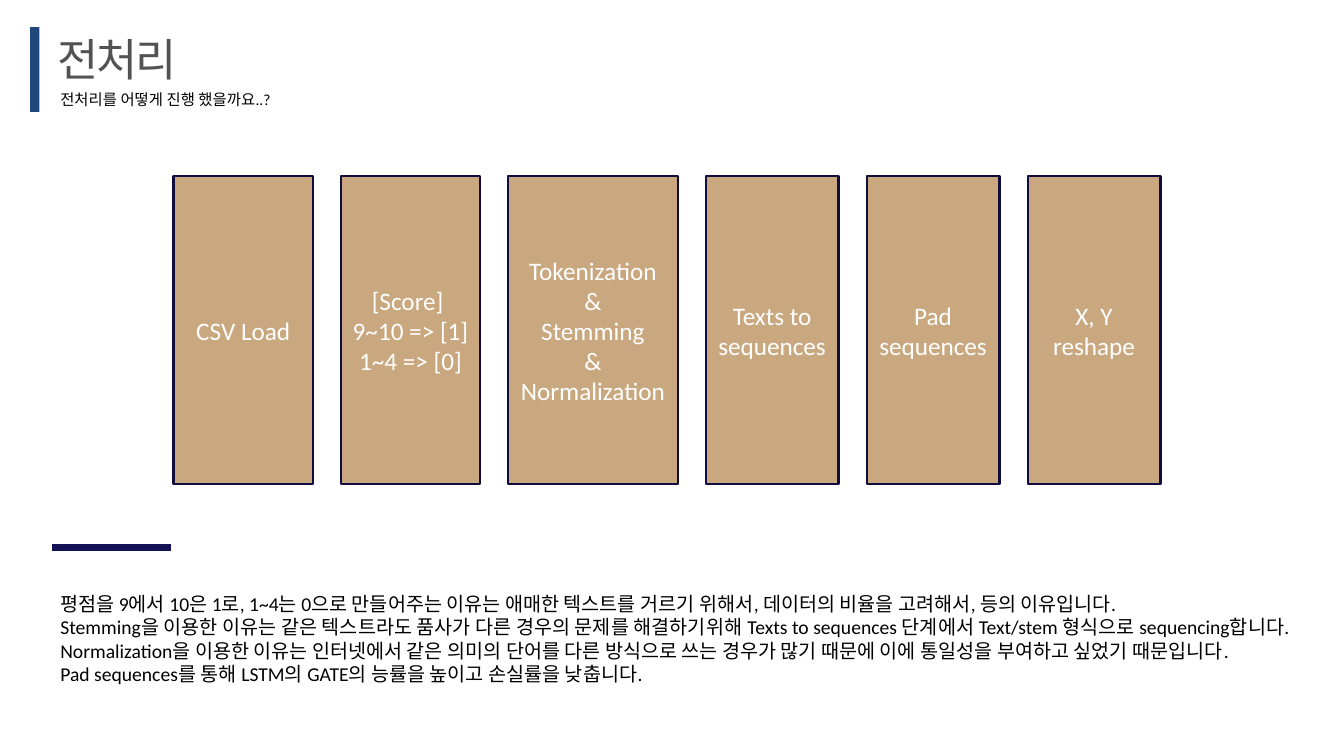
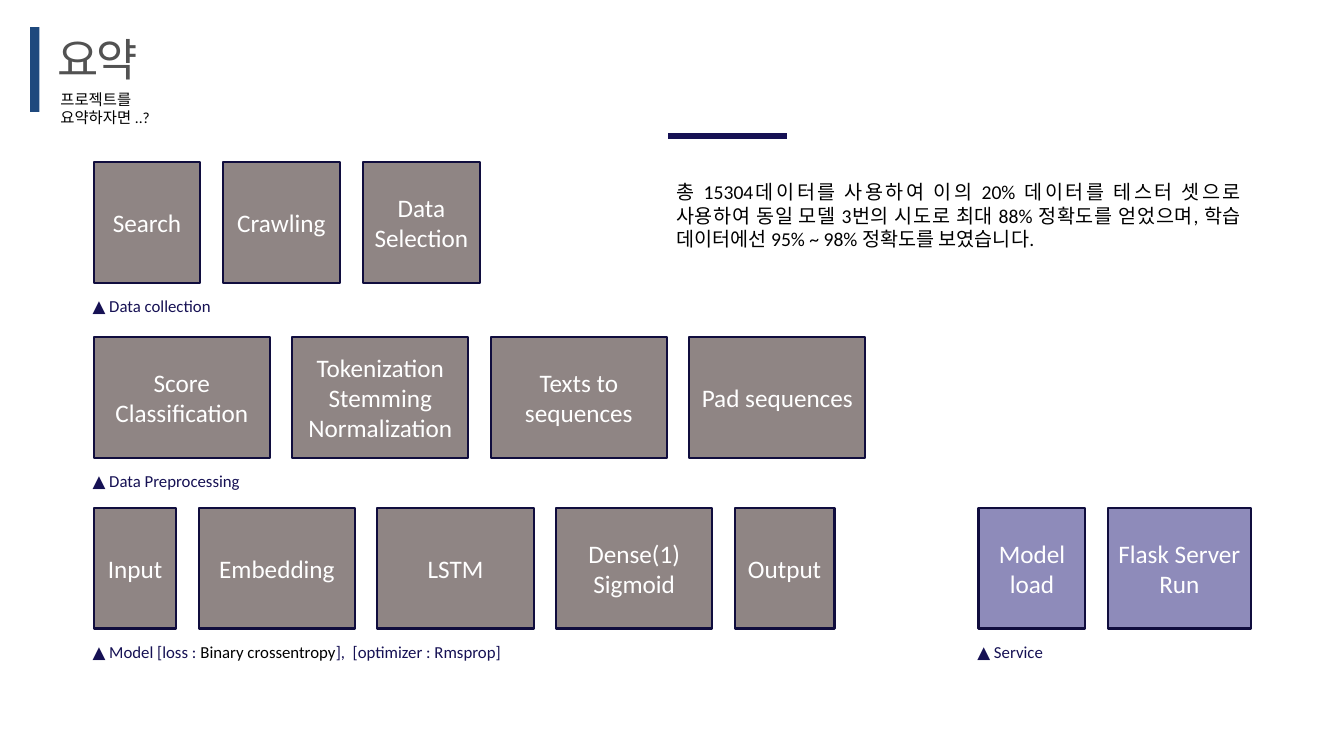
"""Build two slides on text preprocessing and the project summary."""
from lxml import etree
from pptx import Presentation
from pptx import util as u
from pptx.dml.color import RGBColor
from pptx.enum import shapes, text
from pptx.oxml.ns import qn

FONT = "Calibri"
NAVY, BLUE, EDGE = "161154", "1F497D", "100D3E"
GREY, BLACK, WHITE = "525252", "000000", "FFFFFF"
BROWN, UMBER, VIOLET = "945200", "210D0B", "1F1876"
GAP_WIDE, GAP = 20, 16
ROW_HEIGHT, CAPTION_DROP = 86, 92


def rgb(value):
    """Turn a hex string into a colour."""
    return RGBColor.from_string(value)


def place(sp, left, top, width, height):
    """Put a shape at a position given in points."""
    box = dict(left=left, top=top, width=width, height=height)
    for name, value in box.items():
        setattr(sp, name, u.Pt(value))


def write(sp, paragraphs, size, color, align, anchor):
    """Fill a shape with paragraphs, each a list of (text, colour) runs or a string."""
    tf = sp.text_frame
    formats = dict(word_wrap=True, auto_size=text.MSO_AUTO_SIZE.NONE,
                   vertical_anchor=anchor)
    for name, value in formats.items():
        setattr(tf, name, value)
    for i, runs in enumerate(paragraphs):
        p = tf.add_paragraph() if i else tf.paragraphs[0]
        p.alignment = align
        for words, shade in [(runs, color)] if isinstance(runs, str) else runs:
            r = p.add_run()
            r.text = words
            for name, value in dict(name=FONT, size=u.Pt(size)).items():
                setattr(r.font, name, value)
            r.font.color.rgb = rgb(shade)


def add_text(s, box, paragraphs, size=14, color=BLACK, align=text.PP_ALIGN.JUSTIFY):
    """Add a wrapping text box."""
    sp = s.shapes.add_textbox(*map(u.Pt, box))
    write(sp, paragraphs, size, color, align, text.MSO_ANCHOR.TOP)


def add_rect(s, box, fill):
    """Add a plain filled rectangle."""
    sp = s.shapes.add_shape(shapes.MSO_SHAPE.RECTANGLE, *map(u.Pt, box))
    sp.shadow.inherit = False
    sp.fill.solid()
    sp.fill.fore_color.rgb = rgb(fill)
    sp.line.fill.background()
    return sp


def add_card(s, box, fill, lines):
    """Add a half-transparent outlined card with centred text."""
    sp = add_rect(s, box, fill)
    color = sp.fill._xPr.find(qn("a:solidFill"))[0]
    etree.SubElement(color, qn("a:alpha"), val="50000")
    sp.line.color.rgb = rgb(EDGE)
    sp.line.width = u.Pt(1.5)
    write(sp, lines, 18, WHITE, text.PP_ALIGN.CENTER, text.MSO_ANCHOR.MIDDLE)


def add_cards(s, left, top, height, gap, fill, cards):
    """Lay out (width, lines) cards from left to right with equal gaps."""
    for width, lines in cards:
        add_card(s, (left, top, width, height), fill, lines)
        left += width + gap


def add_stage(s, left, top, fill, cards, caption, caption_width=320):
    """Add a row of cards with a caption beneath it."""
    add_cards(s, left, top, ROW_HEIGHT, GAP, fill, cards)
    add_text(s, (left - 8, top + CAPTION_DROP, caption_width, 22), [caption], 12, NAVY)


def add_rule(s, left, top):
    """Add the short thick line that stands above body text."""
    line = s.shapes.add_connector(shapes.MSO_CONNECTOR.STRAIGHT,
                                  *map(u.Pt, (left, top, left + 85, top)))
    line.line.color.rgb = rgb(NAVY)
    line.line.width = u.Pt(4.5)
    etree.SubElement(line._element.spPr, qn("a:effectLst"))


def add_slide(prs, title, subtitle, subtitle_width):
    """Add a slide with the accent bar, title and subtitle."""
    s = prs.slides.add_slide(prs.slide_layouts[5])
    sp = s.shapes.title
    place(sp, 33.8, 19.4, 200, 46)
    write(sp, [title], 32, GREY, text.PP_ALIGN.LEFT, text.MSO_ANCHOR.TOP)
    sp.text_frame.paragraphs[0].runs[0]._r.get_or_add_rPr().set("spc", "-150")
    add_rect(s, (21.6, 19.4, 6.5, 60.5), BLUE)
    add_text(s, (36, 60.5, subtitle_width, 21), [subtitle], 11, align=text.PP_ALIGN.LEFT)
    return s


def preprocessing_slide(prs):
    """Show the preprocessing steps and the reasons for them."""
    s = add_slide(prs, "전처리", "전처리를 어떻게 진행 했을까요..?", 180)
    add_cards(s, 124, 126, 220, GAP_WIDE, BROWN, [
        (99.5, ["CSV Load"]),
        (99.5, ["[Score] ", "9~10 => [1]", "1~4 => [0]"]),
        (121, ["Tokenization", "&", "Stemming", "&", "Normalization"]),
        (95, ["Texts to sequences"]),
        (95, ["Pad sequences"]),
        (95, ["X, Y", "reshape"]),
    ])
    add_rule(s, 37.4, 391)
    add_text(s, (36, 419, 888.5, 92), [
        "평점을 9에서 10은 1로, 1~4는 0으로 만들어주는 이유는 애매한 텍스트를 거르기 위해서, "
        "데이터의 비율을 고려해서, 등의 이유입니다.",
        "Stemming을 이용한 이유는 같은 텍스트라도 품사가 다른 경우의 문제를 해결하기위해 "
        "Texts to sequences 단계에서 Text/stem 형식으로 sequencing합니다.",
        "Normalization을 이용한 이유는 인터넷에서 같은 의미의 단어를 다른 방식으로 쓰는 경우가 "
        "많기 때문에 이에 통일성을 부여하고 싶었기 때문입니다.",
        "Pad sequences를 통해 LSTM의 GATE의 능률을 높이고 손실률을 낮춥니다.",
    ])


def summary_slide(prs):
    """Show the stages of the project and its result."""
    s = add_slide(prs, "요약", "프로젝트를 요약하자면 ..?", 115)
    add_stage(s, 67, 116, UMBER, [
        (76, ["Search"]),
        (84, ["Crawling"]),
        (84, ["Data", "Selection"]),
    ], "▲ Data collection")
    add_stage(s, 67, 241, UMBER, [
        (125.8, ["Score", "Classification"]),
        (125.8, ["Tokenization", "Stemming", "Normalization"]),
        (125.8, ["Texts to sequences"]),
        (125.8, ["Pad sequences"]),
    ], "▲ Data Preprocessing")
    add_stage(s, 67, 363, UMBER, [
        (59, ["Input"]),
        (111.6, ["Embedding"]),
        (111.6, ["LSTM"]),
        (111.6, ["Dense(1)", "Sigmoid"]),
        (71.3, ["Output"]),
    ], [("▲ Model [loss : ", NAVY), ("Binary crossentropy", BLACK),
        ("],  [optimizer : Rmsprop]", NAVY)])
    add_stage(s, 699, 363, VIOLET, [
        (76.3, ["Model", "load"]),
        (102.2, ["Flask Server", "Run"]),
    ], "▲ Service", 163)
    add_rule(s, 477.4, 97.2)
    add_text(s, (476, 125.3, 417.6, 58), [
        "총 15304데이터를 사용하여 이의 20% 데이터를 테스터 셋으로 사용하여 동일 모델 3번의 "
        "시도로 최대 88% 정확도를 얻었으며, 학습 데이터에선 95% ~ 98% 정확도를 보였습니다.",
    ])


def main():
    """Build and save the presentation."""
    prs = Presentation()
    prs.slide_width, prs.slide_height = u.Pt(960), u.Pt(540)
    preprocessing_slide(prs)
    summary_slide(prs)
    prs.save("out.pptx")


if __name__ == "__main__":
    main()
